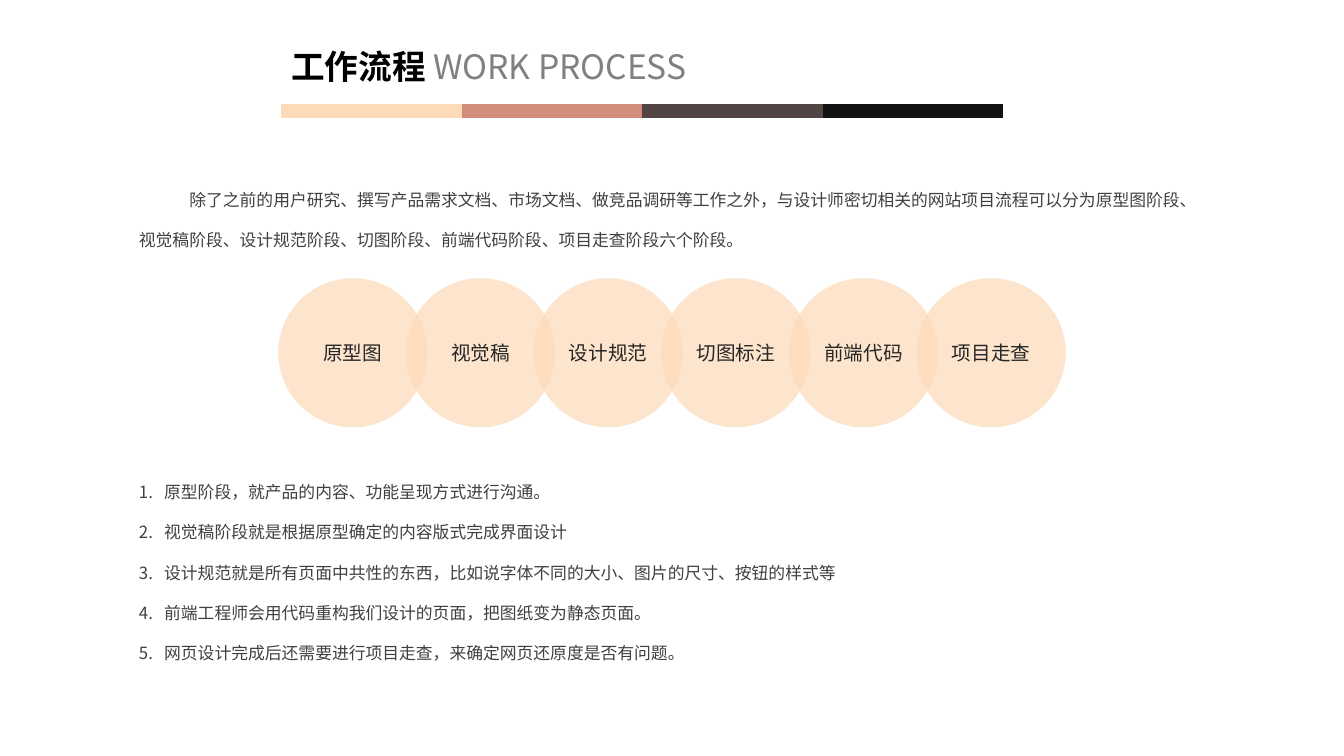
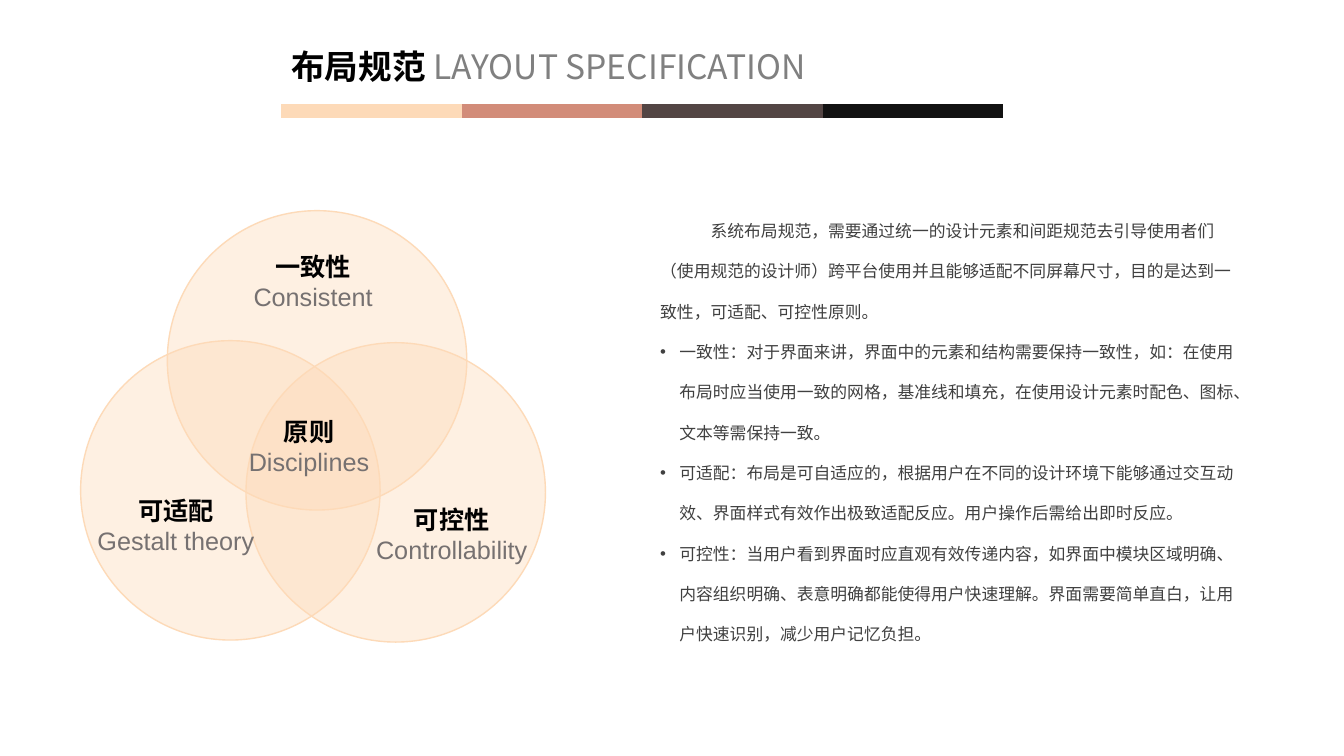
"""Build two slides on the web design work process and the layout specification."""
import lxml.etree
import pptx
import pptx.dml.color
import pptx.enum.shapes
import pptx.enum.text
import pptx.oxml.ns
import pptx.util

Inches = pptx.util.Inches
Pt = pptx.util.Pt
qn = pptx.oxml.ns.qn
CENTER = pptx.enum.text.PP_ALIGN.CENTER

COLORS = {
    "peach": "FDDAB8",
    "rose": "D28C79",
    "brown": "534544",
    "ink": "121212",
    "black": "000000",
    "label": "262626",
    "body": "404040",
    "grey": "808080",
    "caption": "767171",
}
CJK_FONT = "Noto Sans CJK SC"
BAND_LEFT, BAND_TOP, BAND_WIDTH = 2.79, 1.1, 1.79
BAND_COLORS = ["peach", "rose", "brown", "ink"]

STAGES = ["原型图", "视觉稿", "设计规范", "切图标注", "前端代码", "项目走查"]
PROCESS_INTRO = (
    "除了之前的用户研究、撰写产品需求文档、市场文档、做竞品调研等工作之外，"
    "与设计师密切相关的网站项目流程可以分为原型图阶段、视觉稿阶段、设计规范阶段、"
    "切图阶段、前端代码阶段、项目走查阶段六个阶段。"
)
PROCESS_STEPS = [
    "原型阶段，就产品的内容、功能呈现方式进行沟通。",
    "视觉稿阶段就是根据原型确定的内容版式完成界面设计",
    "设计规范就是所有页面中共性的东西，比如说字体不同的大小、图片的尺寸、按钮的样式等",
    "前端工程师会用代码重构我们设计的页面，把图纸变为静态页面。",
    "网页设计完成后还需要进行项目走查，来确定网页还原度是否有问题。",
]
LAYOUT_INTRO = (
    "系统布局规范，需要通过统一的设计元素和间距规范去引导使用者们"
    "（使用规范的设计师）跨平台使用并且能够适配不同屏幕尺寸，"
    "目的是达到一致性，可适配、可控性原则。"
)
LAYOUT_RULES = [
    "一致性：对于界面来讲，界面中的元素和结构需要保持一致性，如：在使用布局时应当使用"
    "一致的网格，基准线和填充，在使用设计元素时配色、图标、文本等需保持一致。",
    "可适配：布局是可自适应的，根据用户在不同的设计环境下能够通过交互动效、"
    "界面样式有效作出极致适配反应。用户操作后需给出即时反应。",
    "可控性：当用户看到界面时应直观有效传递内容，如界面中模块区域明确、内容组织明确、"
    "表意明确都能使得用户快速理解。界面需要简单直白，让用户快速识别，减少用户记忆负担。",
]
VENN_CIRCLES = [(1.66, 2.09), (0.8, 3.38), (2.44, 3.4)]
VENN_LABELS = [
    ("一致性", "Consistent", 2.41, 2.44, 1.39),
    ("可适配", "Gestalt theory", 0.86, 4.86, 1.77),
    ("可控性", "Controllability", 3.62, 4.95, 1.72),
    ("原则", "Disciplines", 2.36, 4.08, 1.41),
]


def rgb(name):
    return pptx.dml.color.RGBColor.from_string(COLORS[name])


def add_run(para, text, size, color, font=CJK_FONT, bold=False):
    span = para.add_run()
    span.text = text
    span.font.size = Pt(size)
    span.font.bold = bold
    span.font.color.rgb = rgb(color)
    span.font.name = font
    east_asian = lxml.etree.SubElement(span.font._element, qn("a:ea"))
    east_asian.set("typeface", CJK_FONT)


def add_text_box(page, left, top, width, height, wrap=True):
    box = page.shapes.add_textbox(Inches(left), Inches(top), Inches(width), Inches(height))
    box.text_frame.word_wrap = wrap
    box.text_frame.auto_size = pptx.enum.text.MSO_AUTO_SIZE.SHAPE_TO_FIT_TEXT
    return box.text_frame


def next_paragraph(frame):
    first = frame.paragraphs[0]
    return first if not first.runs else frame.add_paragraph()


def add_body(frame, text, indent, margin=0, bullet=None):
    para = next_paragraph(frame)
    properties = para._p.get_or_add_pPr()
    properties.set("marL", str(Inches(margin)))
    properties.set("indent", str(Inches(indent)))
    if bullet == "number":
        numbering = lxml.etree.SubElement(properties, qn("a:buAutoNum"))
        numbering.set("type", "arabicPeriod")
    elif bullet:
        lxml.etree.SubElement(properties, qn("a:buFont")).set("typeface", "Arial")
        lxml.etree.SubElement(properties, qn("a:buChar")).set("char", bullet)
    para.line_spacing = 2.0
    add_run(para, text, 12, "body")


def add_circle(shapes, left, top, size, opacity, outlined=False):
    circle = shapes.add_shape(
        pptx.enum.shapes.MSO_SHAPE.OVAL, Inches(left), Inches(top), Inches(size), Inches(size)
    )
    circle.shadow.inherit = False
    circle.fill.solid()
    circle.fill.fore_color.rgb = rgb("peach")
    color = circle._element.spPr.find(qn("a:solidFill"))[0]
    lxml.etree.SubElement(color, qn("a:alpha")).set("val", str(opacity * 1000))
    if outlined:
        circle.line.color.rgb = rgb("peach")
        circle.line.width = Pt(1)
    else:
        circle.line.fill.background()
    return circle


def add_stage(shapes, text, left):
    frame = add_circle(shapes, left, 2.76, 1.48, 70).text_frame
    frame.vertical_anchor = pptx.enum.text.MSO_ANCHOR.MIDDLE
    frame.paragraphs[0].alignment = CENTER
    add_run(frame.paragraphs[0], text, 14, "label", "Calibri")


def add_venn_label(page, chinese, english, left, top, width):
    frame = add_text_box(page, left, top, width, 0.71, wrap=False)
    for text, color, font, bold in (
        (chinese, "black", CJK_FONT, True),
        (english, "caption", "Arial", False),
    ):
        para = next_paragraph(frame)
        para.alignment = CENTER
        add_run(para, text, 18, color, font, bold)


def add_band(page):
    for index, color in enumerate(BAND_COLORS):
        left = BAND_LEFT + index * BAND_WIDTH
        line = page.shapes.add_connector(
            pptx.enum.shapes.MSO_CONNECTOR.STRAIGHT,
            Inches(left), Inches(BAND_TOP), Inches(left + BAND_WIDTH), Inches(BAND_TOP),
        )
        line.line.color.rgb = rgb(color)
        line.line.width = Pt(10)
        lxml.etree.SubElement(line._element.spPr, qn("a:effectLst"))


def add_page(deck, chinese, english):
    page = deck.slides.add_slide(deck.slide_layouts[6])
    add_band(page)
    para = add_text_box(page, BAND_LEFT, 0.29, 4 * BAND_WIDTH, 0.57).paragraphs[0]
    para.line_spacing = 1.3
    add_run(para, chinese + " ", 24, "black", "TeX Gyre Adventor", True)
    add_run(para, english, 24, "grey")
    return page


def build_process_page(deck):
    page = add_page(deck, "工作流程", "WORK PROCESS")
    steps = add_text_box(page, 1.28, 4.53, 10.91, 2.12)
    for step in PROCESS_STEPS:
        add_body(steps, step, -0.25, 0.25, "number")
    add_body(add_text_box(page, 1.28, 1.63, 10.76, 0.91), PROCESS_INTRO, 0.5)
    group = page.shapes.add_group_shape()
    for index, stage in enumerate(STAGES):
        add_stage(group.shapes, stage, 2.76 + index * 1.266)


def build_layout_page(deck):
    page = add_page(deck, "布局规范", "LAYOUT SPECIFICATION")
    rules = add_text_box(page, 6.45, 1.94, 5.96, 4.95)
    add_body(rules, LAYOUT_INTRO, 0.5)
    for rule in LAYOUT_RULES:
        add_body(rules, rule, -0.19, 0.19, "•")
    group = page.shapes.add_group_shape()
    for left, top in VENN_CIRCLES:
        add_circle(group.shapes, left, top, 2.97, 40, outlined=True)
    for label in VENN_LABELS:
        add_venn_label(page, *label)


def main():
    deck = pptx.Presentation()
    deck.slide_width = Inches(13.33)
    deck.slide_height = Inches(7.5)
    build_process_page(deck)
    build_layout_page(deck)
    deck.save("out.pptx")


if __name__ == "__main__":
    main()
